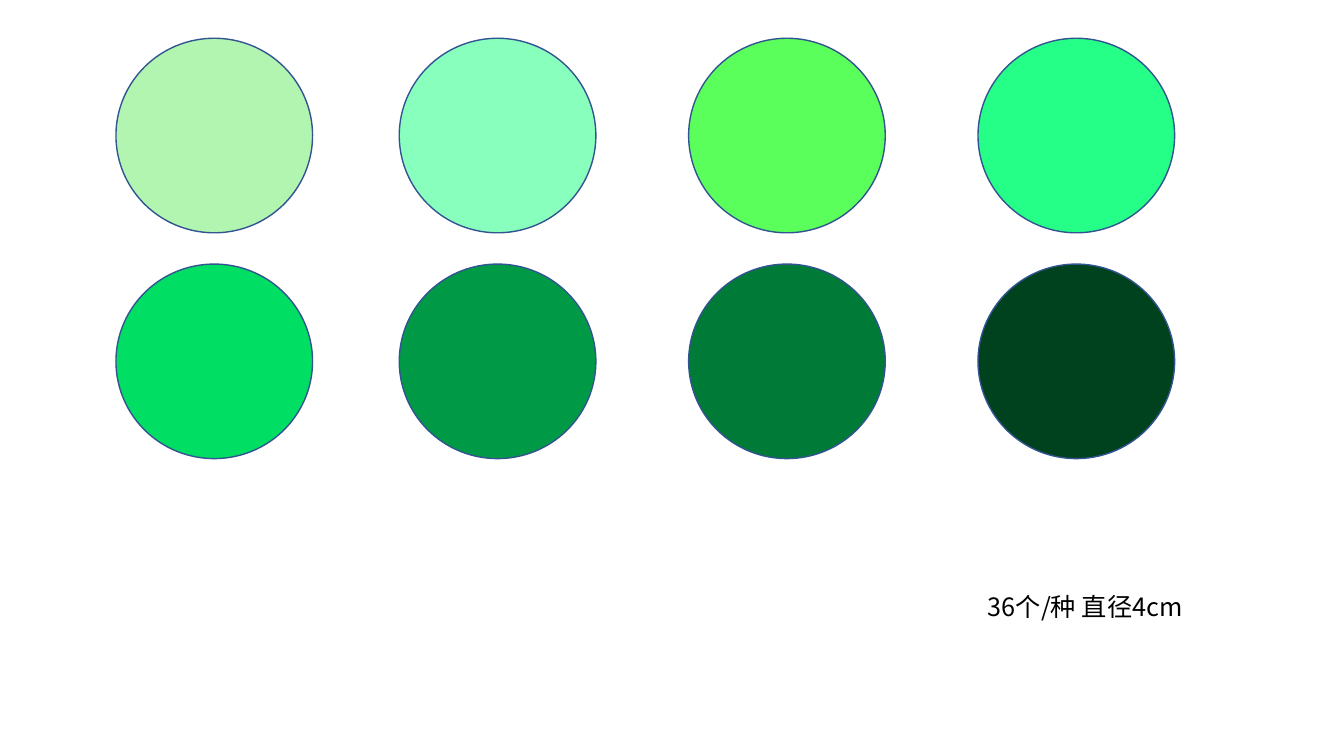
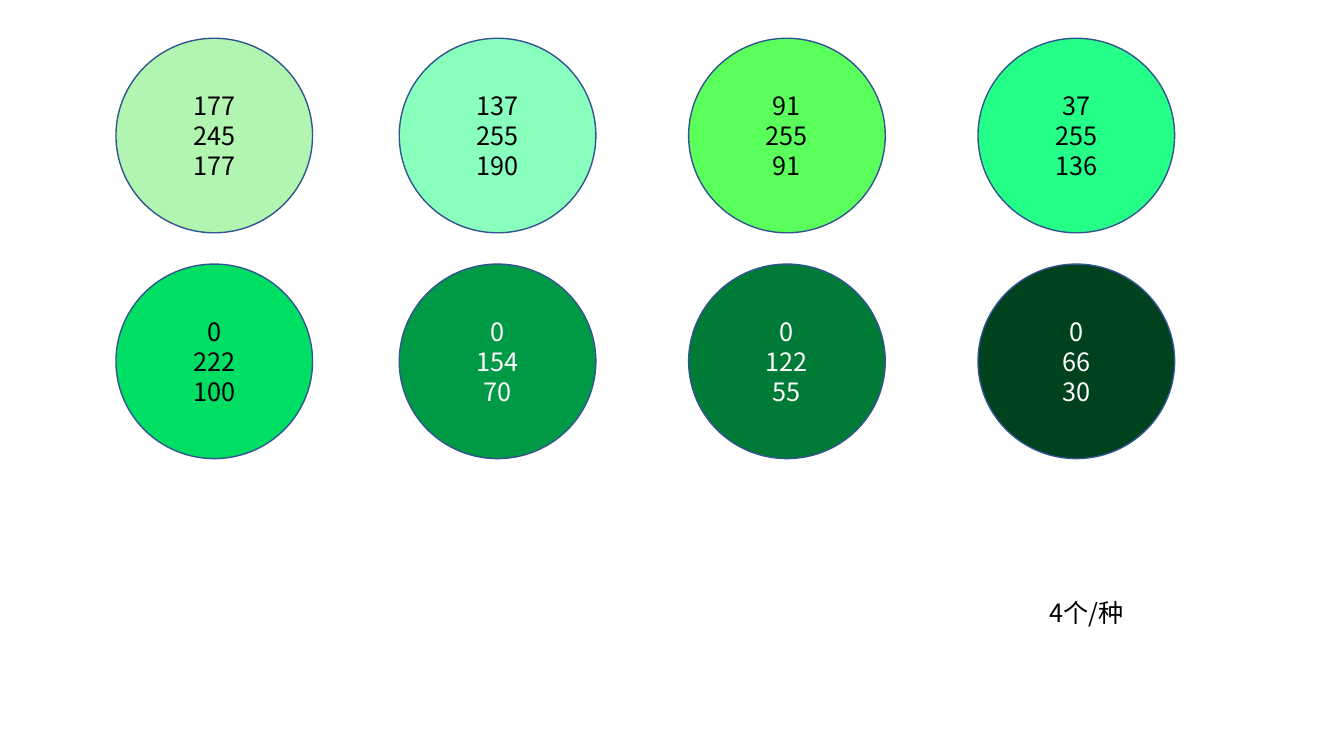
"""Build two slides of green colour swatches, plain and labelled with RGB values."""
from lxml.etree import SubElement
from pptx import Presentation
from pptx.dml.color import RGBColor
from pptx.enum.shapes import MSO_SHAPE
from pptx.enum.text import MSO_ANCHOR, MSO_AUTO_SIZE, PP_ALIGN
from pptx.oxml.ns import qn
from pptx.util import Inches, Pt

FONT = "Noto Sans CJK SC"
COLOURS = {
    "outline": "325491",
    "dark text": "000000",
    "light text": "FFFFFF",
    "pale green": "B1F5B1",
    "mint": "89FFBE",
    "lime": "5BFF5B",
    "spring green": "25FF88",
    "emerald": "00DE64",
    "green": "009A46",
    "forest green": "007A37",
    "deep green": "00421E",
}
SWATCH_ROWS = [
    (0.38, ["pale green", "mint", "lime", "spring green"]),
    (2.62, ["emerald", "green", "forest green", "deep green"]),
]
COLUMN_LEFTS = [1.15, 3.96, 6.83, 9.7]
LIGHT_LABELS = {"green", "forest green", "deep green"}
SLIDES = [
    {"labelled": False, "note": "36个/种 直径4cm", "left": 9.7, "top": 5.82},
    {"labelled": True, "note": "4个/种", "left": 10.31, "top": 5.88},
]


def write_text(shape, text, colour="dark text", align=PP_ALIGN.LEFT, anchor=MSO_ANCHOR.TOP):
    frame = shape.text_frame
    frame.word_wrap = True
    frame.vertical_anchor = anchor
    frame.text = text
    for paragraph in frame.paragraphs:
        paragraph.alignment = align
        paragraph.line_spacing = Pt(21.4)
        for run in paragraph.runs:
            run.font.size = Pt(18)
            run.font.name = FONT
            run.font.color.rgb = RGBColor.from_string(COLOURS[colour])
            SubElement(run.font._element, qn("a:ea"), typeface=FONT)


presentation = Presentation()
presentation.slide_width = Inches(13.33)
presentation.slide_height = Inches(7.5)

for content in SLIDES:
    slide = presentation.slides.add_slide(presentation.slide_layouts[6])

    for top, names in SWATCH_ROWS:
        for left, name in zip(COLUMN_LEFTS, names):
            swatch = slide.shapes.add_shape(
                MSO_SHAPE.OVAL, Inches(left), Inches(top), Inches(1.95), Inches(1.93))
            swatch.shadow.inherit = False
            rgb = RGBColor.from_string(COLOURS[name])
            swatch.fill.solid()
            swatch.fill.fore_color.rgb = rgb
            swatch.line.color.rgb = RGBColor.from_string(COLOURS["outline"])
            swatch.line.width = Pt(1)
            if content["labelled"]:
                write_text(
                    swatch, "\n".join(str(value) for value in rgb),
                    colour="light text" if name in LIGHT_LABELS else "dark text",
                    align=PP_ALIGN.CENTER, anchor=MSO_ANCHOR.MIDDLE)

    note = slide.shapes.add_textbox(
        Inches(content["left"]), Inches(content["top"]), Inches(2.66), Inches(0.4))
    write_text(note, content["note"])
    note.text_frame.auto_size = MSO_AUTO_SIZE.SHAPE_TO_FIT_TEXT

presentation.save("out.pptx")
